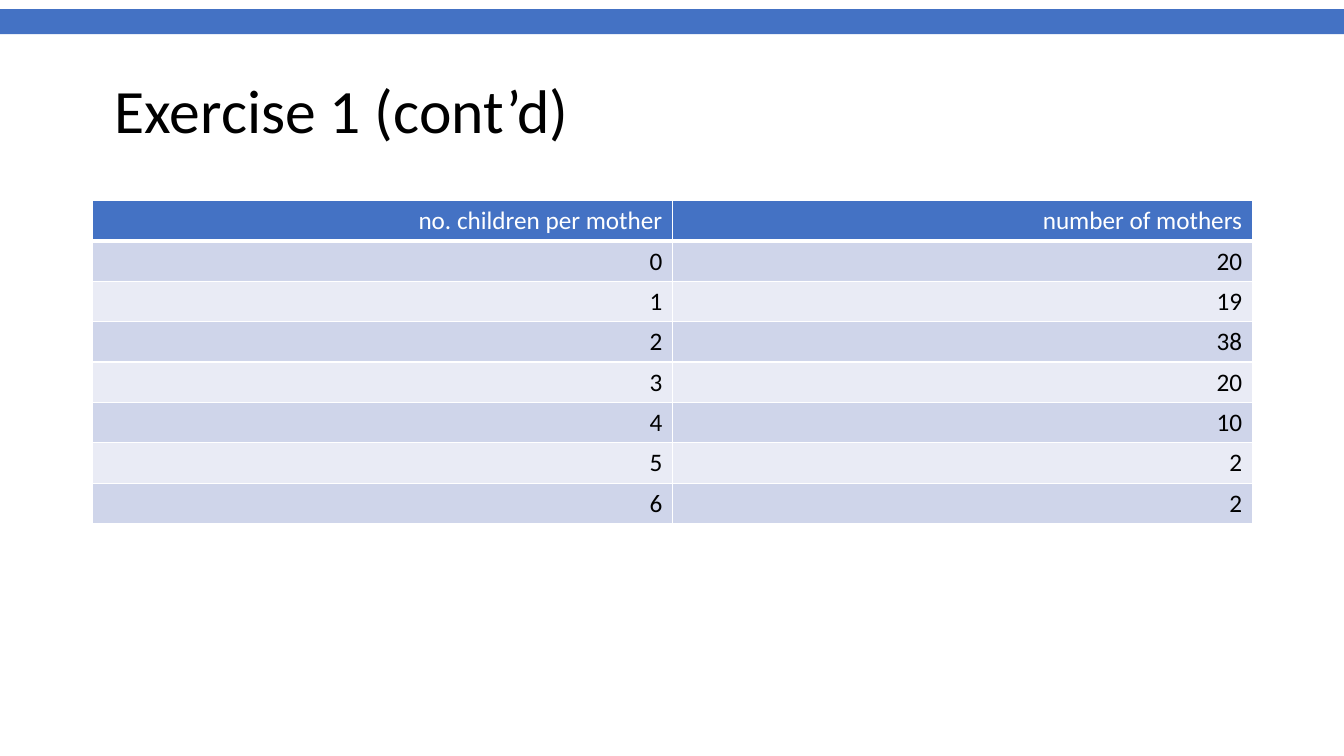
from dataclasses import dataclass

from lxml.etree import SubElement
from pptx import Presentation
from pptx.dml.color import RGBColor
from pptx.enum.shapes import MSO_SHAPE as Shape
from pptx.enum.text import MSO_ANCHOR as Anchor, PP_ALIGN as Align
from pptx.oxml.ns import qn
from pptx.util import Inches, Pt


@dataclass(frozen=True)
class Theme:
    """Colours, font and type sizes of the slide."""
    accent: str = "4472C4"
    text: str = "000000"
    light: str = "FFFFFF"
    bands: tuple = ("CFD5EA", "E9EBF5")
    font: str = "Calibri"
    title_size: int = 44
    table_size: int = 18
    rule: int = 1
    header_rule: int = 3


class SlideBuilder:
    """Draws styled elements on the current slide."""

    def __init__(self, slide, theme):
        """Keep the slide and its style."""
        self.slide = slide
        self.theme = theme

    def add_run(self, paragraph, text, size, color):
        """Add one styled run to a paragraph."""
        run = paragraph.add_run()
        run.text = text
        run.font.name = self.theme.font
        run.font.size = Pt(size)
        run.font.color.rgb = RGBColor.from_string(color)

    def bar(self, left, top, width, height):
        """Draw a plain accent bar."""
        shape = self.slide.shapes.add_shape(
            Shape.RECTANGLE, Inches(left), Inches(top), Inches(width), Inches(height))
        shape.shadow.inherit = False
        shape.fill.solid()
        shape.fill.fore_color.rgb = RGBColor.from_string(self.theme.accent)
        shape.line.fill.background()

    def title(self, text, left, top, width, height):
        """Write the title, centred vertically in its box."""
        box = self.slide.shapes.add_textbox(
            Inches(left), Inches(top), Inches(width), Inches(height))
        frame = box.text_frame
        frame.word_wrap = True
        frame.vertical_anchor = Anchor.MIDDLE
        paragraph = frame.paragraphs[0]
        paragraph.line_spacing = 0.9
        self.add_run(paragraph, text, self.theme.title_size, self.theme.text)

    def border(self, cell, side, width):
        """Give one side of a cell a light line."""
        properties = cell._tc.get_or_add_tcPr()
        line = SubElement(properties, qn(f"a:ln{side}"), w=str(Pt(width)))
        fill = SubElement(line, qn("a:solidFill"))
        SubElement(fill, qn("a:srgbClr"), val=self.theme.light)

    def cell(self, cell, text, is_header, fill):
        """Style a cell and write its right-aligned text."""
        theme = self.theme
        for side in "LRTB":
            heavy = is_header and side == "B"
            self.border(cell, side, theme.header_rule if heavy else theme.rule)
        cell.fill.solid()
        cell.fill.fore_color.rgb = RGBColor.from_string(fill)
        paragraph = cell.text_frame.paragraphs[0]
        paragraph.alignment = Align.RIGHT
        color = theme.light if is_header else theme.text
        self.add_run(paragraph, text, theme.table_size, color)

    def table(self, rows, left, top, width, row_height):
        """Draw a banded table whose first row is the header."""
        table = self.slide.shapes.add_table(
            len(rows), len(rows[0]), Inches(left), Inches(top),
            Inches(width), Inches(row_height * len(rows))).table
        for row_index, values in enumerate(rows):
            is_header = row_index == 0
            band = self.theme.bands[(row_index - 1) % 2]
            fill = self.theme.accent if is_header else band
            for column_index, value in enumerate(values):
                cell = table.cell(row_index, column_index)
                self.cell(cell, str(value), is_header, fill)


def main():
    """Build and save the slide."""
    slide_width, slide_height = 13.33, 7.5
    presentation = Presentation()
    presentation.slide_width = Inches(slide_width)
    presentation.slide_height = Inches(slide_height)
    slide = presentation.slides.add_slide(presentation.slide_layouts[6])
    builder = SlideBuilder(slide, Theme())

    builder.bar(0, 0.09, slide_width, 0.25)
    builder.title("Exercise 1 (cont’d)", 1.04, 0.4, 11.3, 1.45)

    mothers_by_children = [20, 19, 38, 20, 10, 2, 2]
    header = ("no. children per mother", "number of mothers")
    builder.table([header, *enumerate(mothers_by_children)], 0.92, 1.99, 11.5, 0.4)

    presentation.save("out.pptx")


main()
